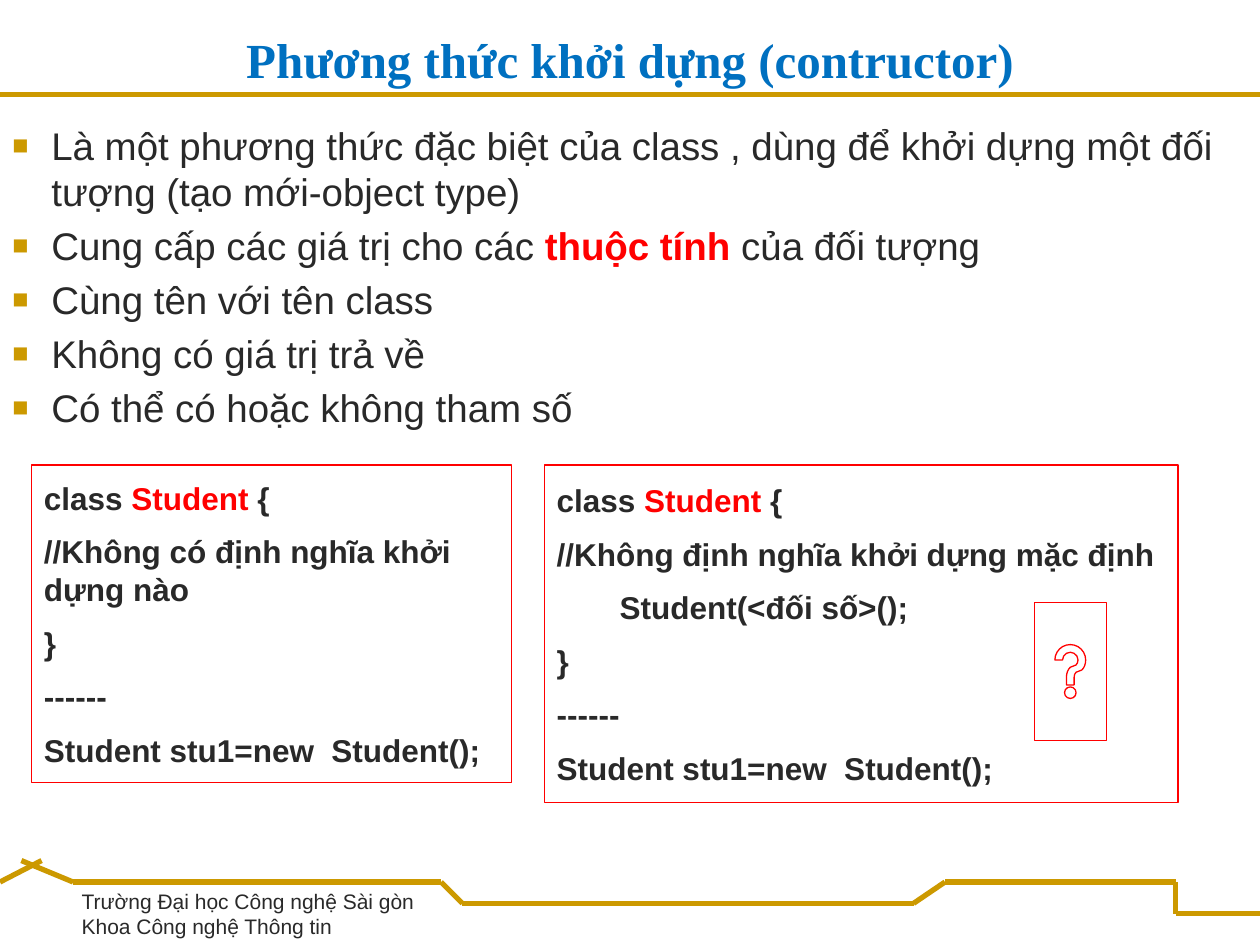
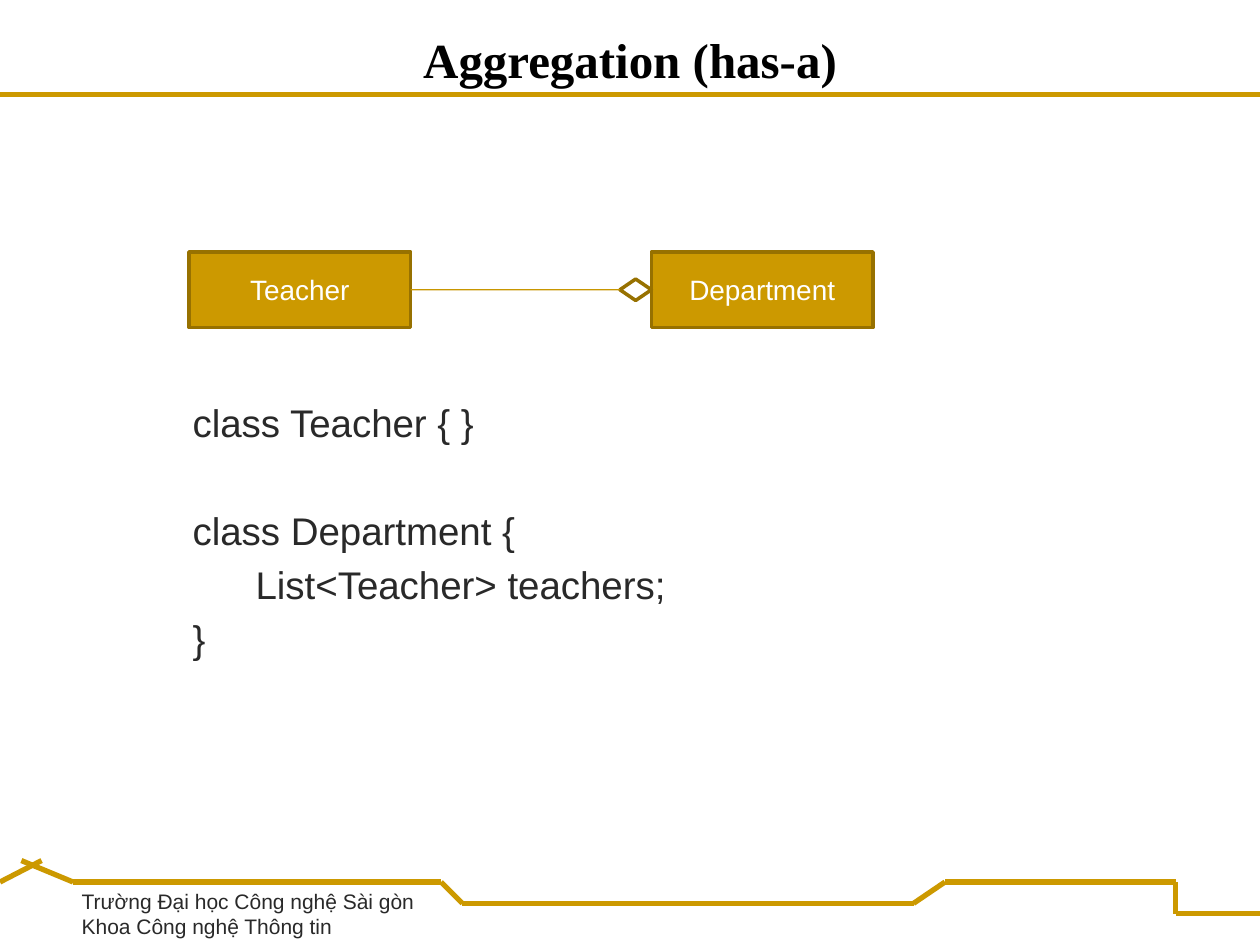
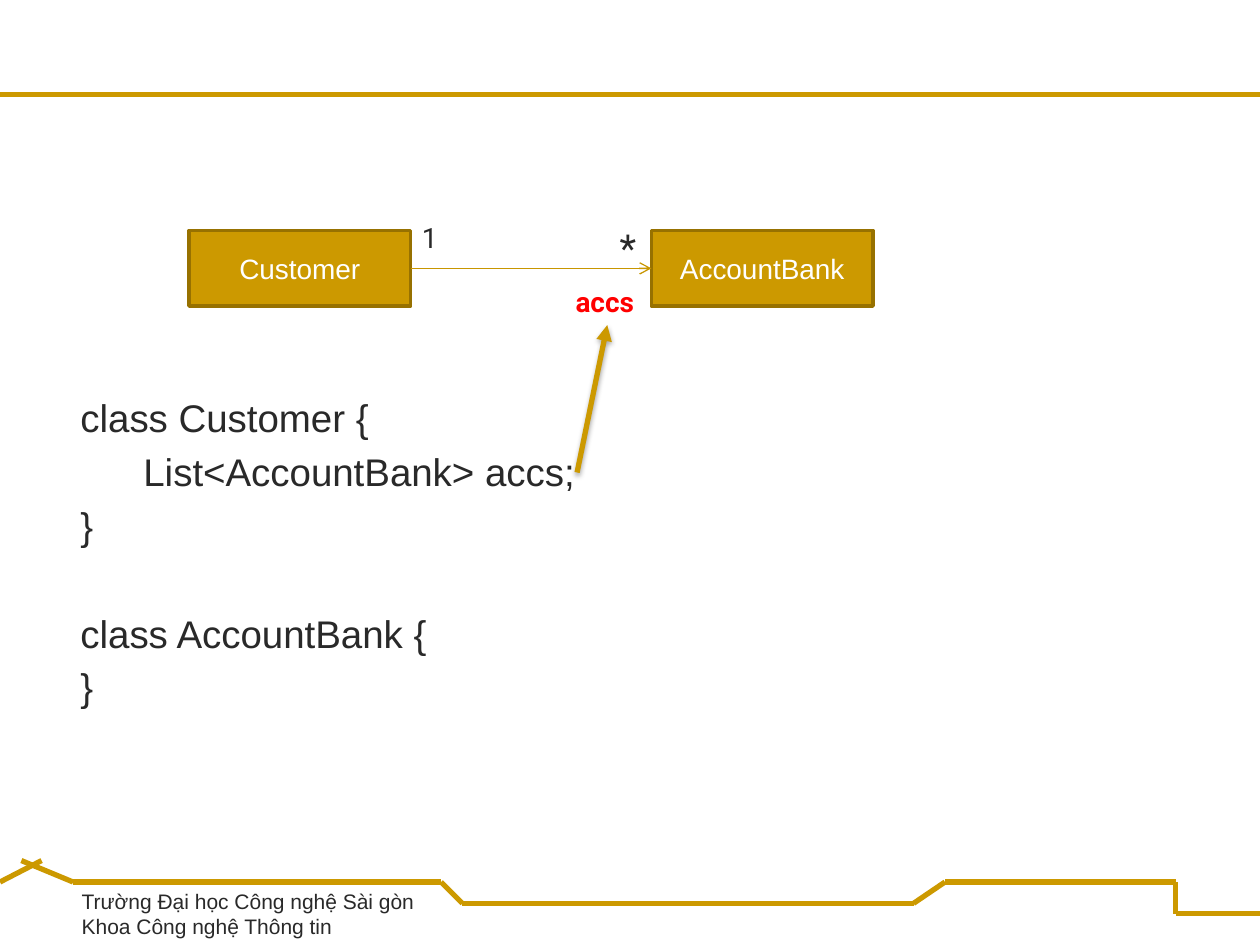
"""Build three slides on constructors, aggregation and association between classes."""
from dataclasses import dataclass

from lxml.etree import SubElement
from pptx import Presentation
from pptx.dml.color import RGBColor
from pptx.enum.shapes import MSO_CONNECTOR, MSO_SHAPE
from pptx.enum.text import MSO_ANCHOR, MSO_AUTO_SIZE, PP_ALIGN
from pptx.oxml.ns import qn
from pptx.util import Inches, Pt


@dataclass(frozen=True)
class Theme:
    gold: RGBColor = RGBColor(0xCC, 0x99, 0x00)
    gold_edge: RGBColor = RGBColor(0x97, 0x71, 0x00)
    gold_link: RGBColor = RGBColor(0xC8, 0x96, 0x00)
    ink: RGBColor = RGBColor(0x29, 0x29, 0x29)
    red: RGBColor = RGBColor(0xFF, 0x00, 0x00)
    blue: RGBColor = RGBColor(0x00, 0x70, 0xC0)
    black: RGBColor = RGBColor(0x00, 0x00, 0x00)
    white: RGBColor = RGBColor(0xFF, 0xFF, 0xFF)
    title_font: str = "Times New Roman"
    body_font: str = "Arial"
    label_font: str = "Roboto"
    title_size: float = 28
    body_size: float = 22
    code_size: float = 18
    label_size: float = 16
    footer_size: float = 12


THEME = Theme()
TITLE_ONLY, BLANK = 5, 6
TOP, LEFT, BOTTOM, RIGHT = range(4)
FOOTER = ["Trường Đại học Công nghệ Sài gòn", "Khoa Công nghệ Thông tin"]
BAND_LINES = [
    [(0, 0.75), (10, 0.75)],
    [(0, 7), (0.33, 6.83)],
    [(0.17, 6.83), (0.58, 7), (3.5, 7), (3.67, 7.17), (7.25, 7.17),
     (7.5, 7), (9.33, 7), (9.33, 7.25), (10, 7.25)],
]


def add_element(parent, tag, **attributes):
    return SubElement(parent, qn(tag), attributes)


def write_paragraph(paragraph, text, *, size, font=THEME.body_font, color=THEME.ink,
                    bold=False, align=PP_ALIGN.LEFT, space_before=0, indent=0, bullet=None):
    """Fill a paragraph; parts between bars become bold and red."""
    paragraph.alignment = align
    paragraph.space_before = Pt(space_before)
    properties = paragraph._p.get_or_add_pPr()
    properties.set("marL", str(Inches(indent)))
    properties.set("indent", str(Inches(-indent if bullet else 0)))
    if bullet:
        bullet_color = add_element(properties, "a:buClr")
        add_element(bullet_color, "a:srgbClr", val=str(THEME.gold))
        add_element(properties, "a:buSzPct", val="70000")
        add_element(properties, "a:buFont", typeface=font)
        add_element(properties, "a:buChar", char=bullet)
    else:
        add_element(properties, "a:buNone")
    for index, part in enumerate(text.split("|")):
        accented = index % 2 == 1
        run = paragraph.add_run()
        run.text = part
        run.font.name = font
        run.font.size = Pt(size)
        run.font.bold = bold or accented
        run.font.color.rgb = THEME.red if accented else color


class Deck:
    def __init__(self, theme):
        self.theme = theme
        self.presentation = Presentation()
        self.presentation.slide_width = Inches(10)
        self.presentation.slide_height = Inches(7.5)
        self.slide = None

    def start_slide(self, title=None, color=None):
        layout = self.presentation.slide_layouts[TITLE_ONLY if title else BLANK]
        self.slide = self.presentation.slides.add_slide(layout)
        for points in BAND_LINES:
            for start, end in zip(points, points[1:]):
                self.line(start, end, color=self.theme.gold, width=3)
        self.text(0.55, 7, 2.84, 0.5, FOOTER, wrap=False, size=self.theme.footer_size)
        if title:
            shape = self.slide.shapes.title
            shape.left, shape.top = Inches(0), Inches(0.04)
            shape.width, shape.height = Inches(10), Inches(0.71)
            frame = shape.text_frame
            frame.auto_size = MSO_AUTO_SIZE.NONE
            frame.vertical_anchor = MSO_ANCHOR.BOTTOM
            write_paragraph(frame.paragraphs[0], title, size=self.theme.title_size, bold=True,
                            font=self.theme.title_font, color=color, align=PP_ALIGN.CENTER)

    def fill_frame(self, frame, lines, gap=0, **style):
        for index, text in enumerate(lines):
            paragraph = frame.add_paragraph() if index else frame.paragraphs[0]
            write_paragraph(paragraph, text, space_before=gap if index else 0, **style)

    def text(self, left, top, width, height, lines, wrap=True, **style):
        box = self.slide.shapes.add_textbox(Inches(left), Inches(top), Inches(width), Inches(height))
        frame = box.text_frame
        frame.word_wrap = wrap
        frame.auto_size = MSO_AUTO_SIZE.NONE if wrap else MSO_AUTO_SIZE.SHAPE_TO_FIT_TEXT
        self.fill_frame(frame, lines, **style)
        return frame

    def label(self, left, top, width, height, text, **style):
        self.text(left, top, width, height, [text], wrap=False, font=self.theme.label_font, **style)

    def listing(self, left, top, width, height, classes):
        lines = [line for block in classes for line in block]
        frame = self.text(left, top, width, height, lines, gap=4.4, indent=0.04,
                          size=self.theme.body_size)
        second_class = frame.paragraphs[len(classes[0])]
        second_class.space_before = Pt(35.1)

    def shape(self, kind, left, top, width, height, line, line_width, fill=None):
        shape = self.slide.shapes.add_shape(
            kind, Inches(left), Inches(top), Inches(width), Inches(height))
        shape.shadow.inherit = False
        if fill is None:
            shape.fill.background()
        else:
            shape.fill.solid()
            shape.fill.fore_color.rgb = fill
        shape.line.color.rgb = line
        shape.line.width = Pt(line_width)
        return shape

    def code_box(self, left, width, height, lines):
        box = self.shape(MSO_SHAPE.RECTANGLE, left, 3.69, width, height, self.theme.red, 0.75)
        frame = box.text_frame
        frame.word_wrap = True
        frame.vertical_anchor = MSO_ANCHOR.MIDDLE
        self.fill_frame(frame, lines, gap=9, size=self.theme.code_size, bold=True)

    def class_pair(self, top, left_name, right_name):
        boxes = []
        for left, name in ((1.5, left_name), (5.17, right_name)):
            box = self.shape(MSO_SHAPE.RECTANGLE, left, top, 1.76, 0.6,
                             self.theme.gold_edge, 2, fill=self.theme.gold)
            box.text_frame.vertical_anchor = MSO_ANCHOR.MIDDLE
            self.fill_frame(box.text_frame, [name], size=self.theme.label_size,
                            color=self.theme.white, align=PP_ALIGN.CENTER)
            boxes.append(box)
        return boxes

    def line(self, start, end, color, width, head=None, tail=None, shadow=False):
        connector = self.slide.shapes.add_connector(
            MSO_CONNECTOR.STRAIGHT, *(Inches(value) for value in (*start, *end)))
        connector.line.color.rgb = color
        connector.line.width = Pt(width)
        outline = connector.line._get_or_add_ln()
        for tag, arrowhead in (("a:headEnd", head), ("a:tailEnd", tail)):
            if arrowhead:
                add_element(outline, tag, type=arrowhead)
        effects = add_element(connector._element.spPr, "a:effectLst")
        if shadow:
            outer = add_element(effects, "a:outerShdw", blurRad=str(Pt(3.1)), dist=str(Pt(1.8)),
                                dir="5400000", rotWithShape="0")
            shadow_color = add_element(outer, "a:srgbClr", val=str(self.theme.black))
            add_element(shadow_color, "a:alpha", val="35000")
        return connector

    def link(self, source, target, **arrowheads):
        connector = self.line((0, 0), (1, 1), self.theme.gold_link, 0.75, **arrowheads)
        connector.begin_connect(source, LEFT)
        connector.end_connect(target, RIGHT)


def build_constructor_slide(deck):
    theme = deck.theme
    deck.start_slide("Phương thức khởi dựng (contructor)", theme.blue)
    deck.text(0, 0.92, 10, 2.7, [
        "Là một phương thức đặc biệt của class , dùng để khởi dựng một đối tượng "
        "(tạo mới-object type)",
        "Cung cấp các giá trị cho các |thuộc tính |của đối tượng",
        "Cùng tên với tên class",
        "Không có giá trị trả về",
        "Có thể có hoặc không tham số",
    ], size=theme.body_size, gap=4.4, indent=0.31, bullet="■")
    opening = "class |Student| {"
    closing = ["}", "------", "Student stu1=new  Student();"]
    deck.code_box(0.25, 3.81, 2.52, [opening, "//Không có định nghĩa khởi dựng nào", *closing])
    deck.code_box(4.32, 5.03, 2.68, [opening, "//Không định nghĩa khởi dựng mặc định",
                                     "\tStudent(<đối số>();", *closing])
    deck.shape(MSO_SHAPE.ACTION_BUTTON_HELP, 8.21, 4.78, 0.57, 1.1, theme.red, 0.75)


def build_aggregation_slide(deck):
    theme = deck.theme
    deck.start_slide("Aggregation (has-a)", theme.black)
    deck.listing(1.39, 3.12, 6.33, 3.08, [
        ["class Teacher { }"],
        ["class Department {", "\tList<Teacher> teachers;", "}"],
    ])
    teacher, _ = deck.class_pair(2, "Teacher", "Department")
    diamond_height = 0.17
    diamond = deck.shape(MSO_SHAPE.DIAMOND, 4.92, 2.3 - diamond_height / 2, 0.25, diamond_height,
                         theme.gold_edge, 2)
    deck.link(diamond, teacher)


def build_association_slide(deck):
    theme = deck.theme
    deck.start_slide()
    deck.listing(0.5, 3.08, 8.17, 3.62, [
        ["class Customer {", "\tList<AccountBank> accs;", "}"],
        ["class AccountBank {", "}"],
    ])
    customer, account = deck.class_pair(1.83, "Customer", "AccountBank")
    deck.link(account, customer, head="arrow")
    deck.label(3.25, 1.7, 0.34, 0.4, "1", size=theme.label_size)
    deck.label(4.82, 1.73, 0.32, 0.47, "*", size=theme.body_size)
    deck.label(4.47, 2.21, 0.7, 0.37, "accs", size=theme.label_size, color=theme.red, bold=True)
    deck.line((4.58, 3.75), (4.82, 2.58), theme.gold, 3, tail="triangle", shadow=True)


def main():
    deck = Deck(THEME)
    build_constructor_slide(deck)
    build_aggregation_slide(deck)
    build_association_slide(deck)
    deck.presentation.save("out.pptx")


if __name__ == "__main__":
    main()
